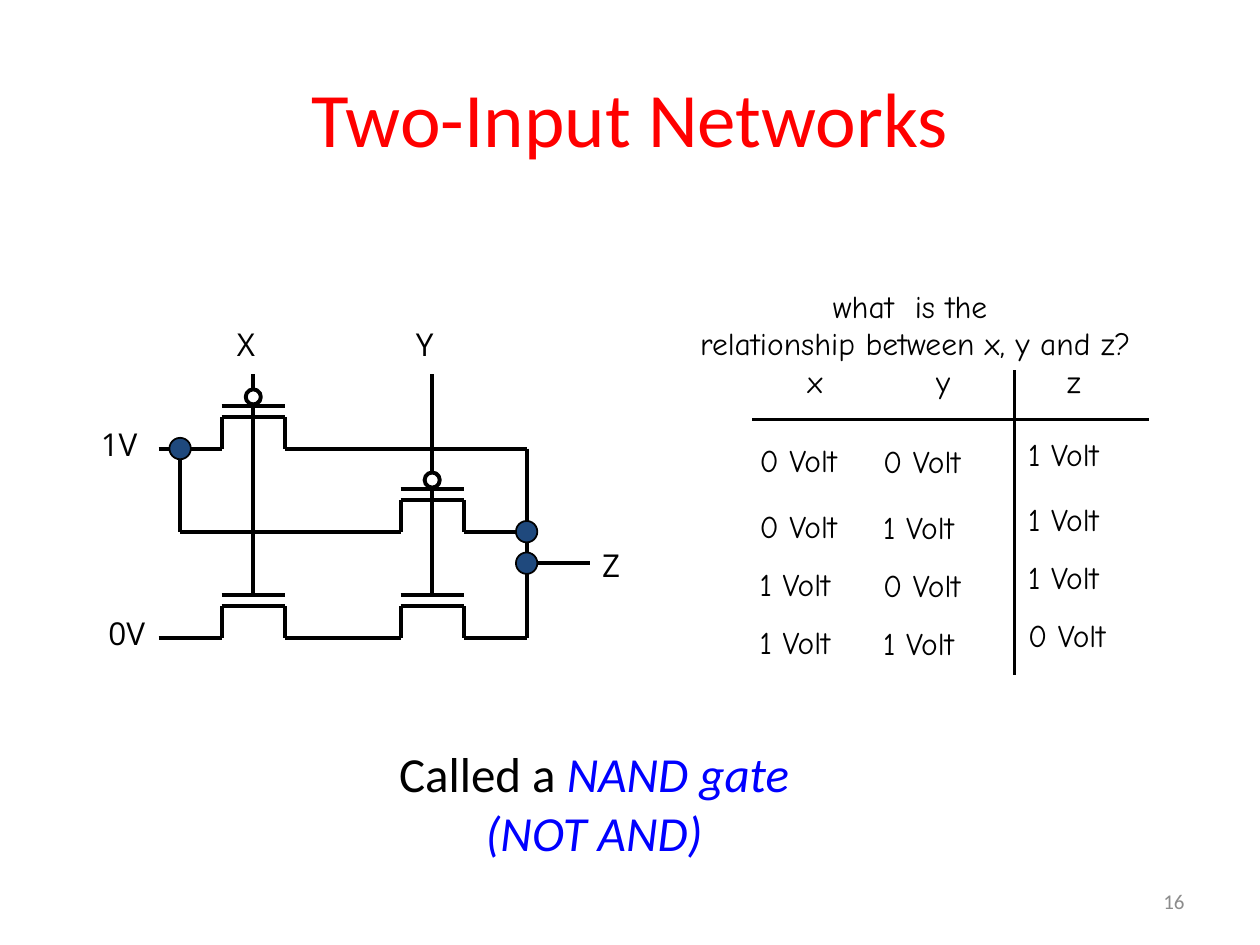
from pptx import Presentation
from pptx.dml.color import RGBColor
from pptx.enum.shapes import MSO_CONNECTOR, MSO_SHAPE
from pptx.enum.text import MSO_ANCHOR, PP_ALIGN
from pptx.oxml.ns import qn
from pptx.util import Inches, Pt
from lxml.etree import SubElement

WIDTH, HEIGHT = 10, 7.5
BLACK, WHITE, RED, BLUE, NAVY, GRAY = "000000", "FFFFFF", "FF0000", "0000FF", "1F497D", "8C8C8C"

TITLE = "Two-Input Networks"
QUESTION = "what  is the \vrelationship between x, y and z?"
CAPTION = [("Called a ", BLACK, False), ("NAND gate (NOT AND)", BLUE, True)]
PAGE_NUMBER = "16"

SUPPLY, BRANCH, OUTPUT, GROUND = 3.56, 4.22, 4.47, 5.06
X_GATE, Y_GATE = 2.01, 3.43
FORK, JOIN = 1.43, 4.18
INPUT_TOP, INPUT_END = 2.97, 4.56
HALF_GATE, LEAD = 0.25, 0.5
CHANNEL_RISE, PLATE_RISE, BUBBLE_RISE, STEM_RISE = 0.25, 0.34, 0.41, 0.59

TERMINALS = [("1V", 0.78, 3.35), ("0V", 0.84, 4.85), ("X", 1.86, 2.56),
             ("Y", 3.28, 2.56), ("Z", 4.76, 4.31)]
WIRES = [(JOIN, SUPPLY, JOIN, GROUND), (JOIN, OUTPUT, JOIN + LEAD, OUTPUT),
         (X_GATE, INPUT_END, X_GATE, INPUT_TOP), (Y_GATE, INPUT_END, Y_GATE, INPUT_TOP),
         (2.68, BRANCH, FORK, BRANCH), (JOIN, SUPPLY, 2.68, SUPPLY),
         (FORK, SUPPLY, FORK, BRANCH)]
TRANSISTORS = [(X_GATE, GROUND, False), (X_GATE, SUPPLY, True),
               (Y_GATE, GROUND, False), (Y_GATE, BRANCH, True)]
JUNCTIONS = [(FORK, SUPPLY), (JOIN, BRANCH), (JOIN, OUTPUT)]

TRUTH_HEADS = [("x", 6.39), ("y", 7.41), ("z", 8.45)]
TRUTH_COLUMNS = [(6.01, 0.05, "0011"), (6.99, 0.06, "0101"), (8.14, 0, "1110")]
TRUTH_ROWS = [3.43, 3.95, 4.41, 4.87]
TRUTH_RULES = [(5.97, 3.33, 9.12, 3.33), (8.05, 2.94, 8.05, 5.36)]

deck = Presentation()
deck.slide_width, deck.slide_height = Inches(WIDTH), Inches(HEIGHT)
slide = deck.slides.add_slide(deck.slide_layouts[6])


def color(value):
    return RGBColor.from_string(value)


def write(text, left, top, width, height, font="Calibri", size=18, ink=BLACK,
          align=PP_ALIGN.LEFT, anchor=MSO_ANCHOR.TOP, wrap=True, insets=(0.1, 0.05), leading=None):
    box = slide.shapes.add_textbox(Inches(left), Inches(top), Inches(width), Inches(height))
    frame = box.text_frame
    frame.word_wrap, frame.vertical_anchor = wrap, anchor
    frame.margin_left = frame.margin_right = Inches(insets[0])
    frame.margin_top = frame.margin_bottom = Inches(insets[1])
    paragraph = frame.paragraphs[0]
    paragraph.alignment = align
    if leading:
        paragraph.line_spacing = Pt(leading)
    pieces = [(text, ink, False)] if isinstance(text, str) else text
    for words, shade, italic in pieces:
        for index, line in enumerate(words.split("\v")):
            if index:
                paragraph.add_line_break()
            run = paragraph.add_run()
            run.text = line
            run.font.name, run.font.size, run.font.italic = font, Pt(size), italic
            run.font.color.rgb = color(shade)


def label(text, left, top, width=0.4, height=0.45, **style):
    write(text, left, top, width, height, wrap=False, insets=(0.02, 0.03), leading=21, **style)


def wire(x1, y1, x2, y2, weight=2.25):
    line = slide.shapes.add_connector(MSO_CONNECTOR.STRAIGHT, *map(Inches, (x1, y1, x2, y2)))
    line.line.color.rgb = color(BLACK)
    line.line.width = Pt(weight)
    SubElement(line._element.spPr, qn("a:effectLst"))


def dot(x, y, diameter, fill, weight):
    circle = slide.shapes.add_shape(MSO_SHAPE.OVAL, Inches(x - diameter / 2), Inches(y - diameter / 2),
                                    Inches(diameter), Inches(diameter))
    circle.shadow.inherit = False
    circle.fill.solid()
    circle.fill.fore_color.rgb = color(fill)
    circle.line.color.rgb = color(BLACK)
    circle.line.width = Pt(weight)


def transistor(x, rail, inverted):
    left, right = x - HALF_GATE, x + HALF_GATE
    channel, plate = rail - CHANNEL_RISE, rail - PLATE_RISE
    outline = [(left - LEAD, rail), (left, rail), (left, channel),
               (right, channel), (right, rail), (right + LEAD, rail)]
    for start, end in zip(outline, outline[1:]):
        wire(*start, *end)
    wire(left, plate, right, plate)
    wire(x, plate, x, rail - STEM_RISE)
    if inverted:
        dot(x, rail - BUBBLE_RISE, 0.12, WHITE, 2.25)


write(TITLE, 0.5, 0.3, 9, 1.25, size=44, ink=RED, align=PP_ALIGN.CENTER, anchor=MSO_ANCHOR.MIDDLE)
label(QUESTION, 5.5, 2.26, 3.53, 1.03, font="Comic Neue", align=PP_ALIGN.CENTER)

for name, left, top in TERMINALS:
    label(name, left, top, font="Open Sans")
for ends in WIRES:
    wire(*ends)
for part in TRANSISTORS:
    transistor(*part)
for x, y in JUNCTIONS:
    dot(x, y, 0.17, NAVY, 1)

for ends in TRUTH_RULES:
    wire(*ends, weight=2)
for name, left in TRUTH_HEADS:
    label(name, left, 2.85, font="Comic Neue")
for left, drop, bits in TRUTH_COLUMNS:
    for top, bit in zip(TRUTH_ROWS, bits):
        label(f"{bit} Volt", left, top + drop, 0.97, font="Comic Neue")

write(CAPTION, 2.95, 5.85, 3.53, 1.04, size=28, align=PP_ALIGN.CENTER)
write(PAGE_NUMBER, 7.17, 6.95, 2.33, 0.4, size=12, ink=GRAY, align=PP_ALIGN.RIGHT, anchor=MSO_ANCHOR.MIDDLE)

deck.save("out.pptx")
